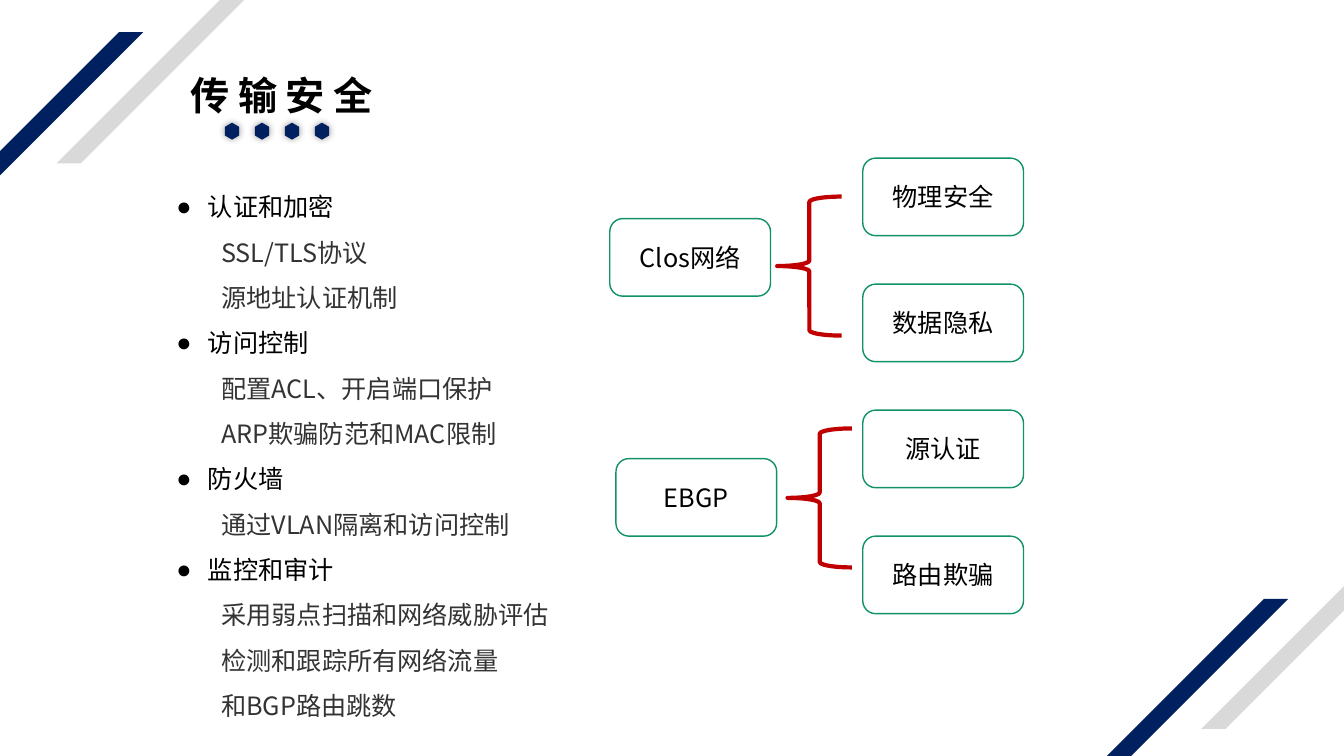
"""Builds the slide on transport security."""
from lxml import etree
from pptx import Presentation
from pptx import util as u
from pptx.dml.color import RGBColor
from pptx.enum import shapes, text
from pptx.oxml.ns import qn

NAVY = RGBColor(0x00, 0x20, 0x60)
SILVER = RGBColor(0xD9, 0xD9, 0xD9)
BLACK = RGBColor(0x00, 0x00, 0x00)
CHARCOAL = RGBColor(0x33, 0x33, 0x33)
WHITE = RGBColor(0xFF, 0xFF, 0xFF)
GREEN = RGBColor(0x11, 0x91, 0x69)
RED = RGBColor(0xC0, 0x00, 0x00)

MEASURES = [
    ("认证和加密", ["SSL/TLS协议", "源地址认证机制"]),
    ("访问控制", ["配置ACL、开启端口保护", "ARP欺骗防范和MAC限制"]),
    ("防火墙", ["通过VLAN隔离和访问控制"]),
    ("监控和审计", ["采用弱点扫描和网络威胁评估", "检测和跟踪所有网络流量", "和BGP路由跳数"]),
]
STRIPES = [
    (-101.5, 23, NAVY),
    (40.3, -69.8, SILVER),
    (716.4, 427.7, NAVY),
    (858.2, 334.1, SILVER),
]
SYSTEMS = [("Clos网络", 435.6, 156.2), ("EBGP", 440, 327.6)]
RISKS = ["物理安全", "数据隐私", "源认证", "路由欺骗"]
BRACES = [(555.1, 140.4), (562.5, 306)]


class SlideBuilder:
    font_name = "Noto Sans CJK SC"
    text_size = 18

    def __init__(self, slide):
        self.slide = slide

    def format_runs(self, paragraph, color, size=text_size, bold=False, spacing=0):
        for run in paragraph.runs:
            run.font.size = u.Pt(size)
            run.font.bold = bold
            run.font.color.rgb = color
            run.font.name = self.font_name
            properties = run.font._element
            etree.SubElement(properties, qn("a:ea"), typeface=self.font_name)
            if spacing:
                properties.set("spc", str(spacing * 100))

    def place(self, placeholder, left, top, width, height):
        placeholder.left, placeholder.top = u.Pt(left), u.Pt(top)
        placeholder.width, placeholder.height = u.Pt(width), u.Pt(height)
        frame = placeholder.text_frame
        frame.auto_size = text.MSO_AUTO_SIZE.NONE
        frame.vertical_anchor = text.MSO_ANCHOR.TOP
        frame.word_wrap = True
        return frame

    def title(self, wording, left, top, width, height):
        frame = self.place(self.slide.shapes.title, left, top, width, height)
        frame.text = wording
        heading = frame.paragraphs[0]
        heading.alignment = text.PP_ALIGN.LEFT
        heading.line_spacing = u.Pt(35)
        self.format_runs(heading, BLACK, size=28, bold=True, spacing=6)

    def outline(self, topics, left, top, width, height):
        frame = self.place(self.slide.placeholders[1], left, top, width, height)
        entries = []
        for topic, details in topics:
            entries.append((topic, 0))
            entries.extend((detail, 1) for detail in details)
        frame.text = "\n".join(wording for wording, _ in entries)
        for paragraph, (_, level) in zip(frame.paragraphs, entries):
            paragraph.level = level
            properties = paragraph._p.get_or_add_pPr()
            margin, indent = (32, 0) if level else (22.5, -22.5)
            properties.set("marL", str(u.Pt(margin)))
            properties.set("indent", str(u.Pt(indent)))
            if level:
                etree.SubElement(properties, qn("a:buNone"))
            else:
                etree.SubElement(properties, qn("a:buFont"), typeface="Arial")
                etree.SubElement(properties, qn("a:buChar"), char="●")
            paragraph.alignment = text.PP_ALIGN.LEFT
            paragraph.space_before = u.Pt(0)
            paragraph.line_spacing = u.Pt(32.4)
            self.format_runs(paragraph, CHARCOAL if level else BLACK)

    def shape(self, kind, left, top, width, height, fill=None, line=None, weight=1):
        shape = self.slide.shapes.add_shape(
            kind, u.Pt(left), u.Pt(top), u.Pt(width), u.Pt(height))
        shape.shadow.inherit = False
        if fill is None:
            shape.fill.background()
        else:
            shape.fill.solid()
            shape.fill.fore_color.rgb = fill
        if line is None:
            shape.line.fill.background()
        else:
            shape.line.color.rgb = line
            shape.line.width = u.Pt(weight)
        return shape

    def stripe(self, left, top, color):
        stripe = self.shape(shapes.MSO_SHAPE.PARALLELOGRAM, left, top, 203.8, 186.5, color)
        stripe.adjustments[0] = 1

    def hexagon(self, left, top):
        hexagon = self.shape(shapes.MSO_SHAPE.HEXAGON, left, top, 12.1, 10.2, NAVY)
        hexagon.adjustments[0] = 0.29
        hexagon.rotation = 90
        effects = hexagon._element.spPr.find(qn("a:effectLst"))
        shadow = etree.SubElement(effects, qn("a:outerShdw"), blurRad=str(u.Pt(5)),
                                  dist="0", dir="0", algn="ctr", rotWithShape="0")
        shade = etree.SubElement(shadow, qn("a:srgbClr"), val=str(BLACK))
        etree.SubElement(shade, qn("a:alpha"), val="40000")

    def box(self, label, left, top):
        box = self.shape(shapes.MSO_SHAPE.FLOWCHART_ALTERNATE_PROCESS,
                         left, top, 114.8, 55.4, WHITE, GREEN)
        frame = box.text_frame
        frame.text = label
        frame.word_wrap = True
        frame.vertical_anchor = text.MSO_ANCHOR.MIDDLE
        frame.paragraphs[0].alignment = text.PP_ALIGN.CENTER
        self.format_runs(frame.paragraphs[0], BLACK)

    def brace(self, left, top):
        self.shape(shapes.MSO_SHAPE.LEFT_BRACE, left, top, 46, 99.3, line=RED, weight=3)


def main():
    presentation = Presentation()
    presentation.slide_width, presentation.slide_height = u.Pt(960), u.Pt(540)
    builder = SlideBuilder(presentation.slides.add_slide(presentation.slide_layouts[1]))
    for left, top, color in STRIPES:
        builder.stripe(left, top, color)
    builder.title("传输安全", 128.9, 46, 160, 41)
    for index in range(4):
        builder.hexagon(159.7 + 21.4 * index, 88.6)
    for label, left, top in SYSTEMS:
        builder.box(label, left, top)
    for index, risk in enumerate(RISKS):
        builder.box(risk, 616.3, 113 + 90 * index)
    builder.outline(MEASURES, 118.8, 122.4, 291, 396)
    for left, top in BRACES:
        builder.brace(left, top)
    presentation.save("out.pptx")


if __name__ == "__main__":
    main()
